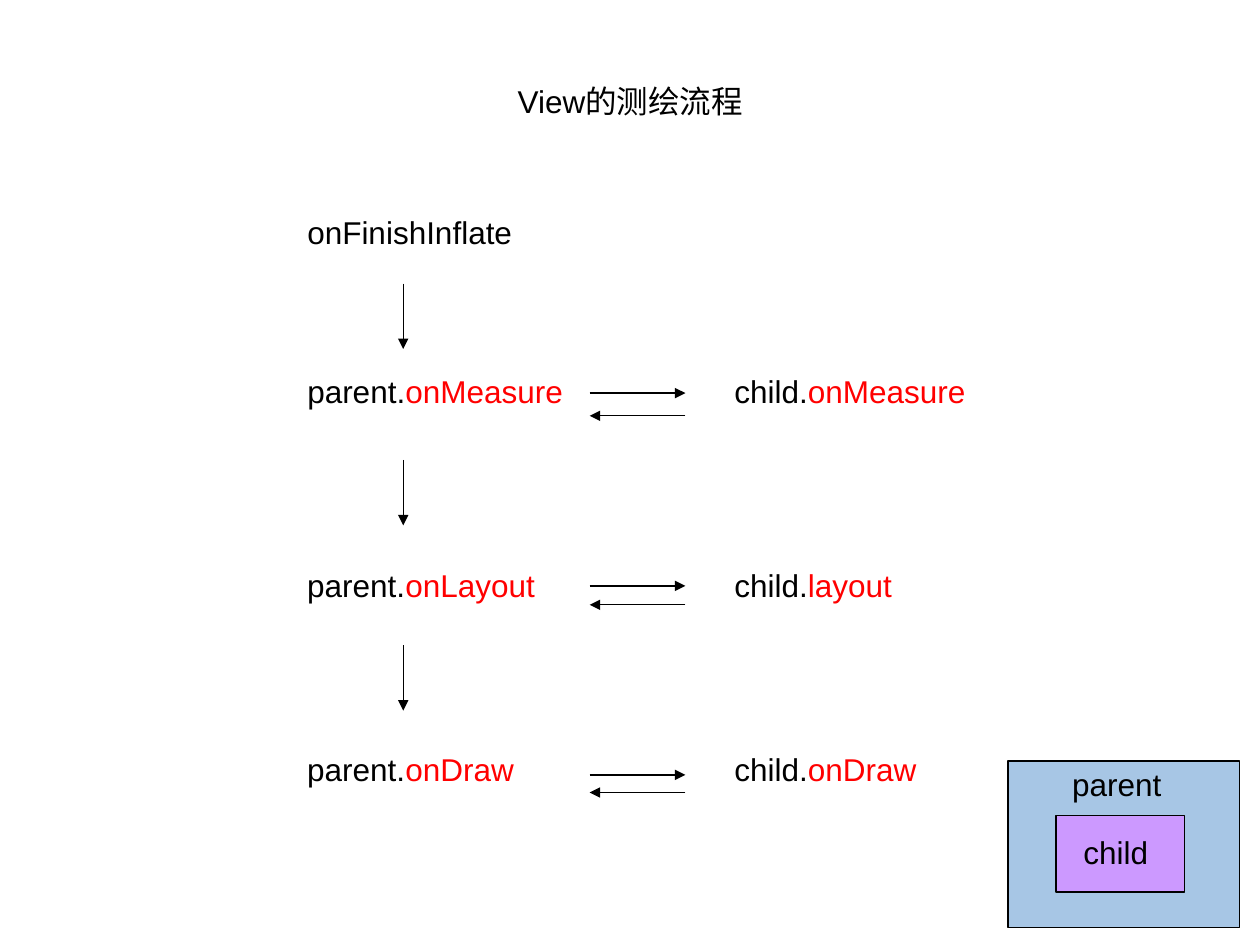
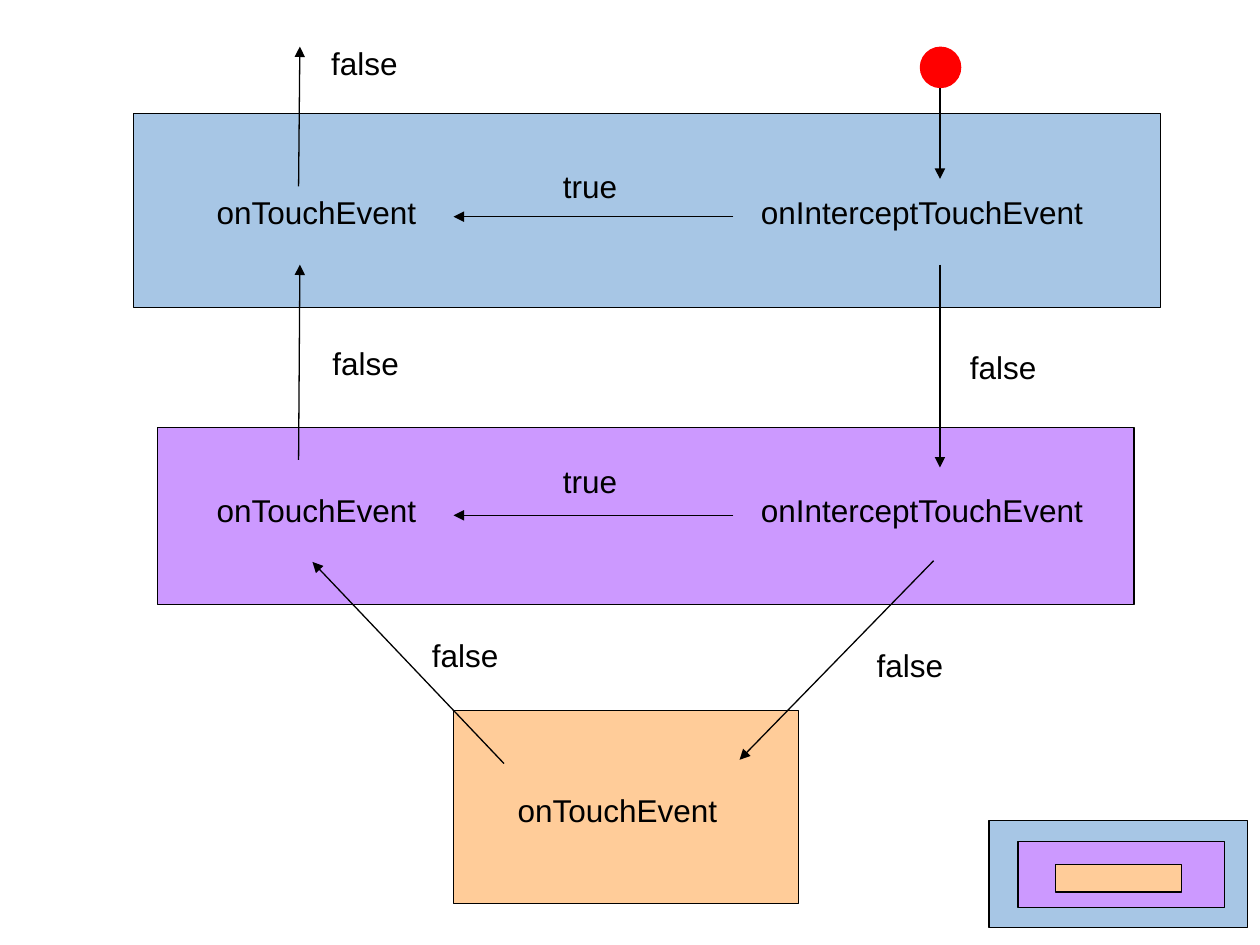
from pptx import Presentation
from pptx.dml.color import RGBColor
from pptx.enum.shapes import MSO_CONNECTOR as Wire, MSO_SHAPE as Form
from pptx.enum.text import MSO_AUTO_SIZE as Fit, PP_ALIGN as Align
from pptx.oxml.ns import qn
from pptx.util import Inches, Pt
from lxml.etree import SubElement as Sub

BLACK = RGBColor(0x00, 0x00, 0x00)
RED = RGBColor(0xFF, 0x00, 0x00)
BLUE = RGBColor(0xA7, 0xC6, 0xE5)
LILAC = RGBColor(0xCC, 0x99, 0xFF)
PEACH = RGBColor(0xFF, 0xCC, 0x99)


class Board:
    """Shared style and the slide being drawn."""
    font = {"name": "Arial", "size": Pt(18)}
    frame = {"auto_size": Fit.SHAPE_TO_FIT_TEXT,
             "margin_left": Inches(0.1), "margin_right": Inches(0.1),
             "margin_top": Inches(0.05), "margin_bottom": Inches(0.05)}
    line = Pt(0.75)
    high = 0.4

    def __init__(self, deck):
        self.deck = deck
        self.page = None

    def new(self):
        self.page = self.deck.slides.add_slide(self.deck.slide_layouts[6])

    def apply(self, item, style):
        for key, value in style.items():
            setattr(item, key, value)

    def text(self, x, y, w, *parts, wrap=False):
        """Write one line; the second part, if any, is red."""
        box = self.page.shapes.add_textbox(*map(Inches, (x, y, w, self.high)))
        self.apply(box.text_frame, {**self.frame, "word_wrap": wrap})
        para = box.text_frame.paragraphs[0]
        para.alignment = Align.LEFT
        for part, color in zip(parts, (BLACK, RED)):
            run = para.add_run()
            run.text = part
            self.apply(run.font, self.font)
            run.font.color.rgb = color

    def shape(self, x, y, w, h, fill, form=Form.RECTANGLE, edge=True):
        item = self.page.shapes.add_shape(form, *map(Inches, (x, y, w, h)))
        item.shadow.inherit = False
        item.fill.solid()
        item.fill.fore_color.rgb = fill
        if edge:
            item.line.color.rgb = BLACK
            item.line.width = self.line
        else:
            item.line.fill.background()

    def arrow(self, x1, y1, x2, y2):
        wire = self.page.shapes.add_connector(
            Wire.STRAIGHT, *map(Inches, (x1, y1, x2, y2)))
        wire.line.color.rgb = BLACK
        wire.line.width = self.line
        props = wire._element.spPr
        Sub(props.find(qn("a:ln")), qn("a:tailEnd"), type="triangle")
        Sub(props, qn("a:effectLst"))


def draw_flow(board):
    board.new()
    board.text(4.01, 0.6, 2.06, "View的测绘流程")
    board.text(2.34, 1.64, 1.85, "onFinishInflate")

    # Each step: text top, call and return heights, names with widths
    steps = [
        (2.9, 3.12, 3.3, "onMeasure", 2.25, "onMeasure", 2.06),
        (4.44, 4.65, 4.8, "onLayout", 2.03, "layout", 1.47),
        (5.9, 6.15, 6.29, "onDraw", 1.86, "onDraw", 1.67),
    ]
    for top, call, back, own, wide, sub, thin in steps:
        board.text(2.34, top, wide, "parent.", own)
        board.text(5.73, top, thin, "child.", sub)
        board.arrow(4.68, call, 5.44, call)
        board.arrow(5.44, back, 4.68, back)

    # Arrows down from step to step
    for top in (2.25, 3.65, 5.12):
        board.arrow(3.2, top, 3.2, top + 0.52)

    # Key: child inside parent
    board.shape(8, 6.04, 1.84, 1.32, BLUE)
    board.shape(8.38, 6.47, 1.02, 0.61, LILAC)
    board.text(8.41, 6.02, 0.92, "parent")
    board.text(8.5, 6.56, 0.78, "child", wrap=True)


def draw_touch(board):
    board.new()

    # Nested views, outermost first, and their key
    for area, key, fill in (
            ((1.06, 0.9, 8.15, 1.54), (7.85, 6.51, 2.05, 0.85), BLUE),
            ((1.25, 3.39, 7.75, 1.41), (8.08, 6.68, 1.64, 0.52), LILAC),
            ((3.6, 5.64, 2.74, 1.53), (8.38, 6.86, 1, 0.22), PEACH)):
        board.shape(*area, fill)
        board.shape(*key, fill)

    # Handlers in the two groups and in the innermost view
    for top, flag, mid in ((1.48, 1.28, 1.72), (3.85, 3.62, 4.09)):
        board.text(5.94, top, 2.78, "onInterceptTouchEvent")
        board.text(1.62, top, 1.81, "onTouchEvent")
        board.text(4.37, flag, 0.63, "true")
        board.arrow(5.82, mid, 3.6, mid)
    board.text(4.01, 6.23, 1.81, "onTouchEvent")

    # Start of the touch
    board.shape(7.3, 0.37, 0.33, 0.33, RED, Form.OVAL, edge=False)

    # Path down through the views and back up
    for ends in ((7.46, 0.7, 7.46, 1.42), (7.46, 2.1, 7.46, 3.71),
                 (7.41, 4.45, 5.87, 6.03), (4, 6.06, 2.48, 4.46),
                 (2.37, 3.65, 2.38, 2.1), (2.37, 1.48, 2.38, 0.37)):
        board.arrow(*ends)
    for x, y in ((7.6, 2.71), (6.86, 5.08), (3.33, 5), (2.54, 2.68),
                 (2.53, 0.3)):
        board.text(x, y, 0.73, "false")


def main():
    deck = Presentation()
    deck.slide_width, deck.slide_height = Inches(10), Inches(7.5)
    board = Board(deck)
    draw_flow(board)
    draw_touch(board)
    deck.save("out.pptx")


if __name__ == "__main__":
    main()
